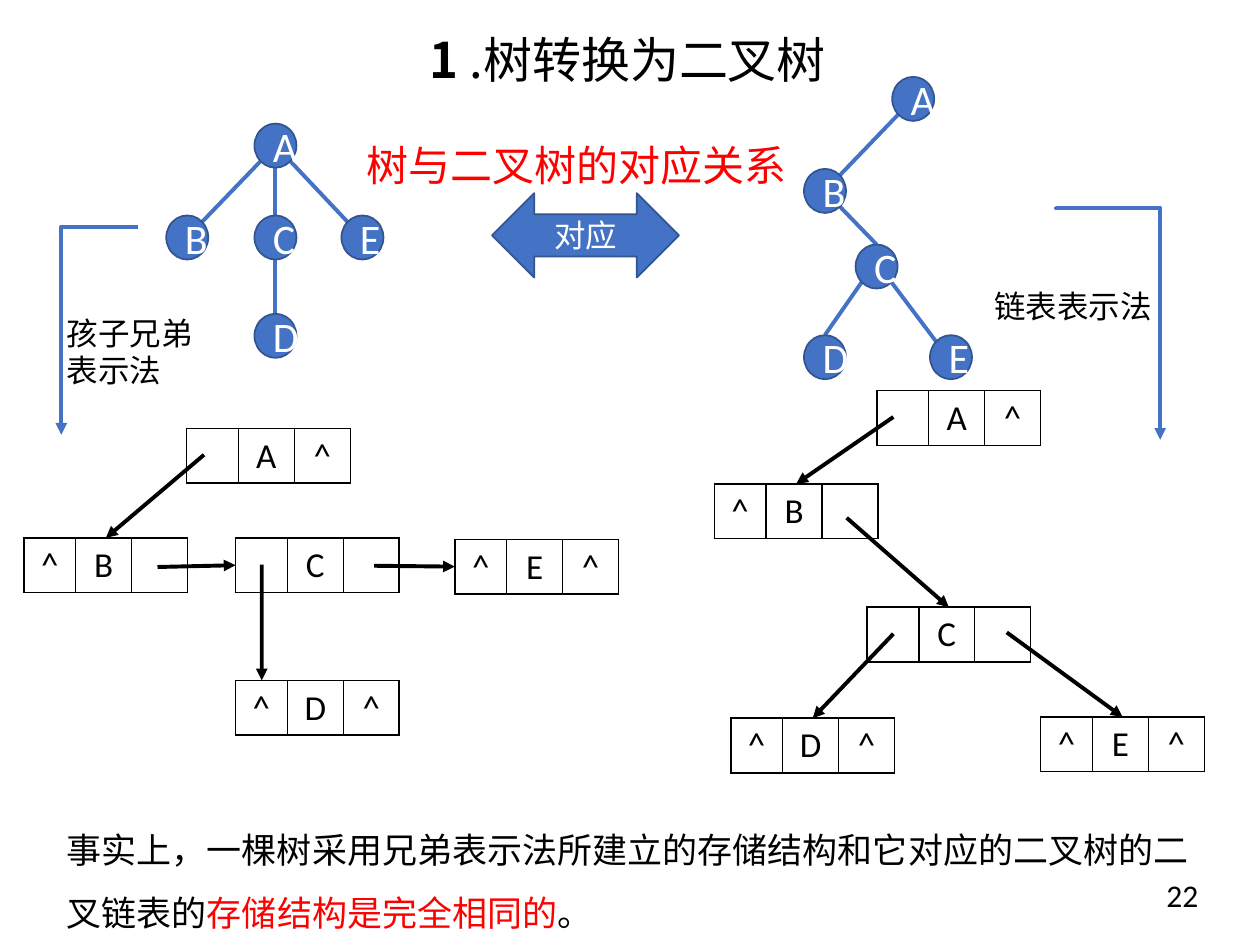
from dataclasses import dataclass

from lxml.etree import SubElement
from pptx import Presentation
from pptx.dml.color import RGBColor as RGB
from pptx.enum.shapes import MSO_CONNECTOR as CXN, MSO_SHAPE as SHAPE
from pptx.enum.text import MSO_ANCHOR as ANCHOR, MSO_AUTO_SIZE as FIT, PP_ALIGN as ALIGN
from pptx.oxml.ns import qn
from pptx.util import Pt


@dataclass(frozen=True)
class Theme:
    blue: str = "4472C4"
    edge: str = "325491"
    black: str = "000000"
    white: str = "FFFFFF"
    red: str = "FF0000"
    latin: str = "Calibri"
    cjk: str = "Noto Sans CJK SC"
    title: int = 28
    head: int = 24
    body: int = 20
    label: int = 18
    thin: float = 1
    thick: float = 2.25


NODE_W, NODE_H = 24, 25.2
CELL_WIDTHS = 29.6, 32, 32
RECORD_W, RECORD_H = sum(CELL_WIDTHS), 31.2
NODE_SITES = {
    "top": (0.5, 0), "top_left": (0.15, 0.15), "top_right": (0.85, 0.15),
    "bottom": (0.5, 1), "bottom_left": (0.15, 0.85), "bottom_right": (0.85, 0.85),
}
RECORD_SITES = {"top": (0.5, 0), "left": (0, 0.5), "first": (0.16, 0)}


def point(pos, size, ratio):
    return [p + d * r for p, d, r in zip(pos, size, ratio)]


def apply(obj, fmt):
    for name, value in fmt.items():
        setattr(obj, name, value)


class Builder:
    def __init__(self, slide, theme):
        self.s = slide
        self.t = theme

    def run(self, p, text, size, color, font=None, bold=False):
        r = p.add_run()
        r.text = text
        apply(r.font, {"size": Pt(size), "name": font or self.t.latin, "bold": bold})
        r.font.color.rgb = RGB.from_string(color)
        SubElement(r.font._element, qn("a:ea"), typeface=self.t.cjk)

    def title(self, box, parts):
        sp = self.s.shapes.title
        apply(sp, dict(zip(("left", "top", "width", "height"), map(Pt, box))))
        tf = sp.text_frame
        apply(tf, {"word_wrap": True, "auto_size": FIT.NONE, "vertical_anchor": ANCHOR.TOP})
        p = tf.paragraphs[0]
        apply(p, {"alignment": ALIGN.LEFT, "space_after": Pt(5.6)})
        p._p.get_or_add_pPr().set("indent", str(Pt(26)))
        for text, bold in parts:
            self.run(p, text, self.t.title, self.t.black, self.t.cjk, bold)

    def text(self, box, paragraphs, size, font=None, wrap=False, spacing=None):
        sp = self.s.shapes.add_textbox(*map(Pt, box))
        tf = sp.text_frame
        apply(tf, {"word_wrap": wrap, "auto_size": FIT.SHAPE_TO_FIT_TEXT})
        for i, parts in enumerate(paragraphs):
            p = tf.add_paragraph() if i else tf.paragraphs[0]
            p.line_spacing = spacing
            for text, color in parts:
                self.run(p, text, size, color, font)

    def shape(self, kind, box, text, size):
        sp = self.s.shapes.add_shape(kind, *map(Pt, box))
        sp.shadow.inherit = False
        sp.fill.solid()
        sp.fill.fore_color.rgb = RGB.from_string(self.t.blue)
        sp.line.color.rgb = RGB.from_string(self.t.edge)
        sp.line.width = Pt(self.t.thin)
        tf = sp.text_frame
        tf.vertical_anchor = ANCHOR.MIDDLE
        p = tf.paragraphs[0]
        p.alignment = ALIGN.CENTER
        self.run(p, text, size, self.t.white)

    def line(self, start, end, color, arrow=False, kind=CXN.STRAIGHT):
        c = self.s.shapes.add_connector(kind, *map(Pt, (*start, *end)))
        c.line.color.rgb = RGB.from_string(color)
        c.line.width = Pt(self.t.thick)
        if arrow:
            SubElement(c.line._get_or_add_ln(), qn("a:tailEnd"), type="triangle")
        SubElement(c._element.spPr, qn("a:effectLst"))
        return c

    def elbow(self, box, preset, turn, adjust=None):
        x, y, w, h = box
        c = self.line((x, y), (x + w, y + h), self.t.blue, True, CXN.ELBOW)
        geom = c._element.spPr.find(qn("a:prstGeom"))
        geom.set("prst", preset)
        if adjust is not None:
            guides = geom.find(qn("a:avLst"))
            SubElement(guides, qn("a:gd"), name="adj1", fmla=f"val {adjust}")
        xfrm = c._element.spPr.find(qn("a:xfrm"))
        for name, value in turn.items():
            xfrm.set(name, value)

    def record(self, pos, values):
        frame = self.s.shapes.add_table(1, 3, *map(Pt, (*pos, RECORD_W, RECORD_H)))
        table = frame.table
        apply(table, {"first_row": False, "horz_banding": False})
        for i, (width, value) in enumerate(zip(CELL_WIDTHS, values)):
            table.columns[i].width = Pt(width)
            cell = table.cell(0, i)
            tcPr = cell._tc.get_or_add_tcPr()
            for side in ("lnL", "lnR", "lnT", "lnB"):
                ln = SubElement(tcPr, qn(f"a:{side}"), w=str(Pt(self.t.thin)))
                fill = SubElement(ln, qn("a:solidFill"))
                SubElement(fill, qn("a:srgbClr"), val=self.t.black)
            cell.fill.background()
            if value:
                p = cell.text_frame.paragraphs[0]
                p.alignment = ALIGN.CENTER
                self.run(p, value, self.t.body, self.t.black)

    def tree(self, nodes, edges):
        size = NODE_W, NODE_H
        for a, site_a, b, site_b in edges:
            self.line(point(nodes[a], size, NODE_SITES[site_a]),
                      point(nodes[b], size, NODE_SITES[site_b]), self.t.blue)
        for name, pos in nodes.items():
            self.shape(SHAPE.OVAL, (*pos, *size), name, self.t.head)

    def linked(self, records, links):
        for name, (pos, left, right) in records.items():
            self.record(pos, (left, name, right))
        for start, name, site in links:
            end = point(records[name][0], (RECORD_W, RECORD_H), RECORD_SITES[site])
            self.line(start, end, self.t.black, True)


def main():
    prs = Presentation()
    prs.slide_width, prs.slide_height = Pt(720), Pt(540)
    t = Theme()
    b = Builder(prs.slides.add_slide(prs.slide_layouts[5]), t)

    b.title((212.4, 13, 360, 41), [("1 ", True), (".树转换为二叉树", False)])
    b.text((202.3, 76.3, 264.2, 36), [[("树与二叉树的对应关系", t.red)]], t.head, t.cjk)

    b.tree({"A": (145.4, 70.6), "B": (95, 123.1), "C": (145.4, 123.1),
            "E": (195.1, 123.1), "D": (145.4, 179.3)},
           [("A", "bottom_left", "B", "top_right"), ("A", "bottom", "C", "top"),
            ("A", "bottom_right", "E", "top_left"), ("C", "bottom", "D", "top")])
    b.tree({"A": (509.8, 43.9), "B": (459.4, 96.5), "C": (488.9, 139.7),
            "E": (531.4, 191.5), "D": (459.4, 191.5)},
           [("A", "bottom_left", "B", "top_right"), ("B", "bottom_right", "C", "top"),
            ("C", "bottom_right", "E", "top_left"), ("C", "bottom_left", "D", "top")])

    b.linked({"A": ((106.6, 244.8), "", "^"), "B": ((13.7, 307.4), "^", ""),
              "C": ((134.6, 307.4), "", ""), "E": ((259.9, 308.2), "^", "^"),
              "D": ((134.6, 388.8), "^", "^")},
             [((116.6, 259.9), "B", "top"), ((213.8, 323.3), "E", "left"),
              ((90, 324), "C", "left"), ((149.6, 322.6), "D", "first")])
    b.linked({"A": ((501.1, 223.2), "", "^"), "B": ((408.2, 276.5), "^", ""),
              "C": ((495.4, 347), "", ""), "E": ((594.7, 409.7), "^", "^"),
              "D": ((417.6, 410.4), "^", "^")},
             [((510.5, 238.3), "B", "top"), ((575.3, 361.4), "E", "top"),
              ((483.8, 295.9), "C", "top"), ((510.5, 362.2), "D", "top")])

    b.shape(SHAPE.LEFT_RIGHT_ARROW, (281.2, 110.4, 106.8, 48.2), "对应", t.label)
    b.elbow((35, 129.6, 44, 118.8), "bentConnector2", {"rot": "10800000", "flipV": "1"})
    b.text((31, 175.7, 87, 51), [[("孩子兄弟", t.black)], [("表示法", t.black)]], t.label)
    b.text((561, 160.6, 105, 29), [[("链表表示法", t.black)]], t.label)
    b.elbow((566.5, 154.8, 133.2, 59.8), "bentConnector3",
            {"rot": "16200000", "flipH": "1"}, 400)

    b.text((31, 458, 658.8, 75.6),
           [[("事实上，一棵树采用兄弟表示法所建立的存储结构和它对应的二叉树的二叉链表的", t.black),
             ("存储结构是完全相同的", t.red), ("。", t.black)]],
           t.body, t.cjk, True, 1.5)
    b.text((659.5, 496.8, 81.4, 28.8), [[("22", t.black)]], t.label, wrap=True)
    prs.save("out.pptx")


if __name__ == "__main__":
    main()
